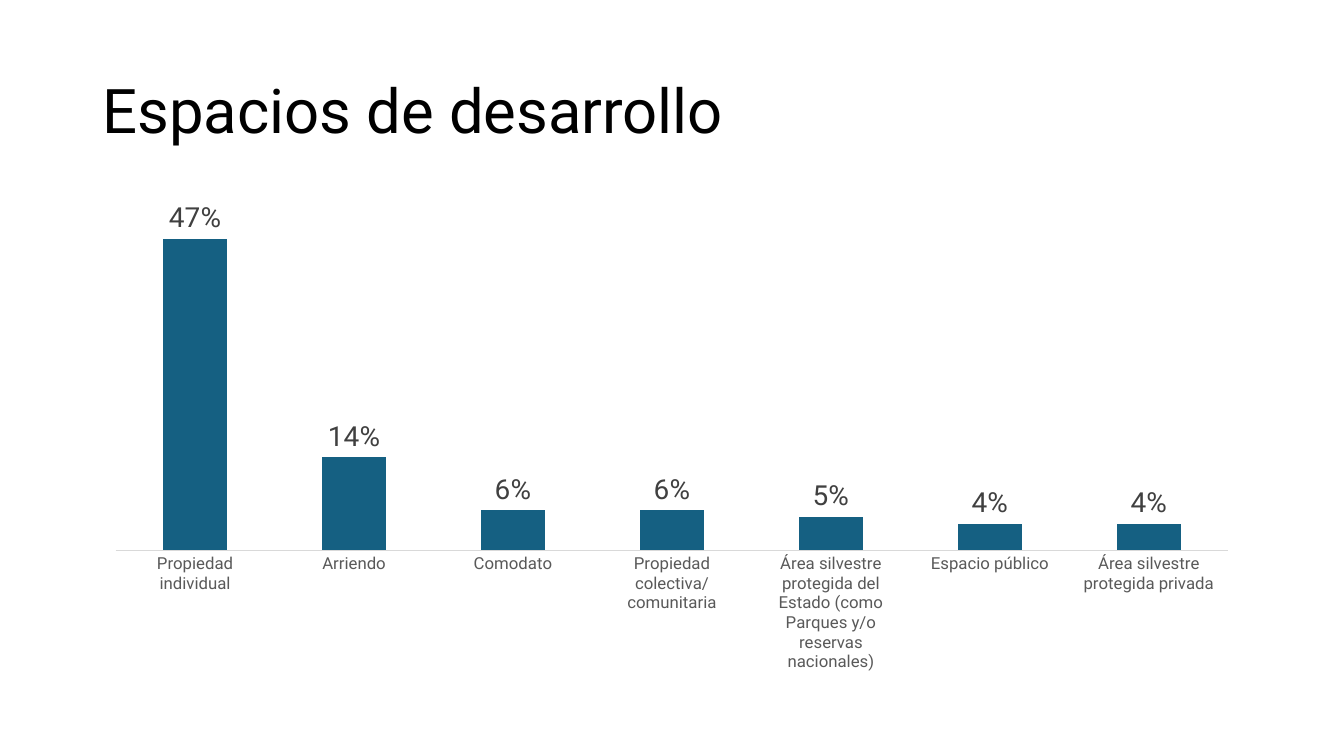
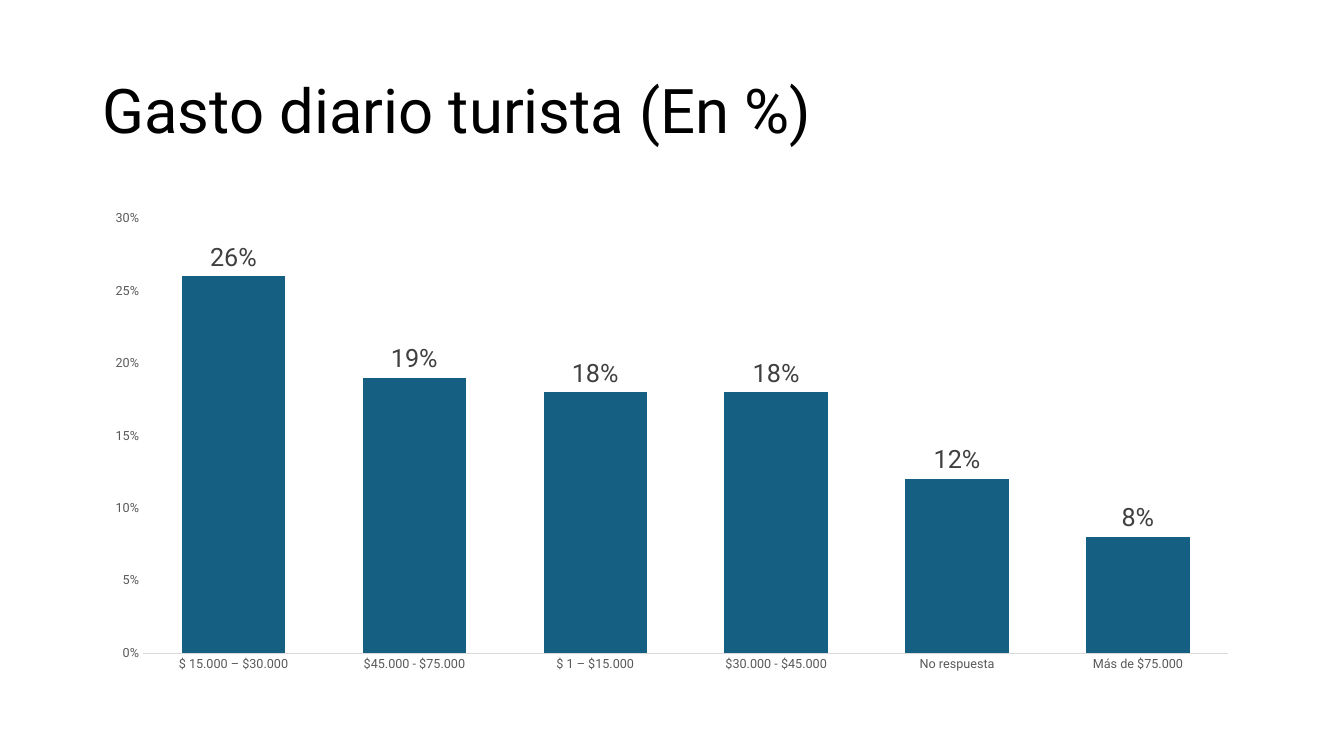
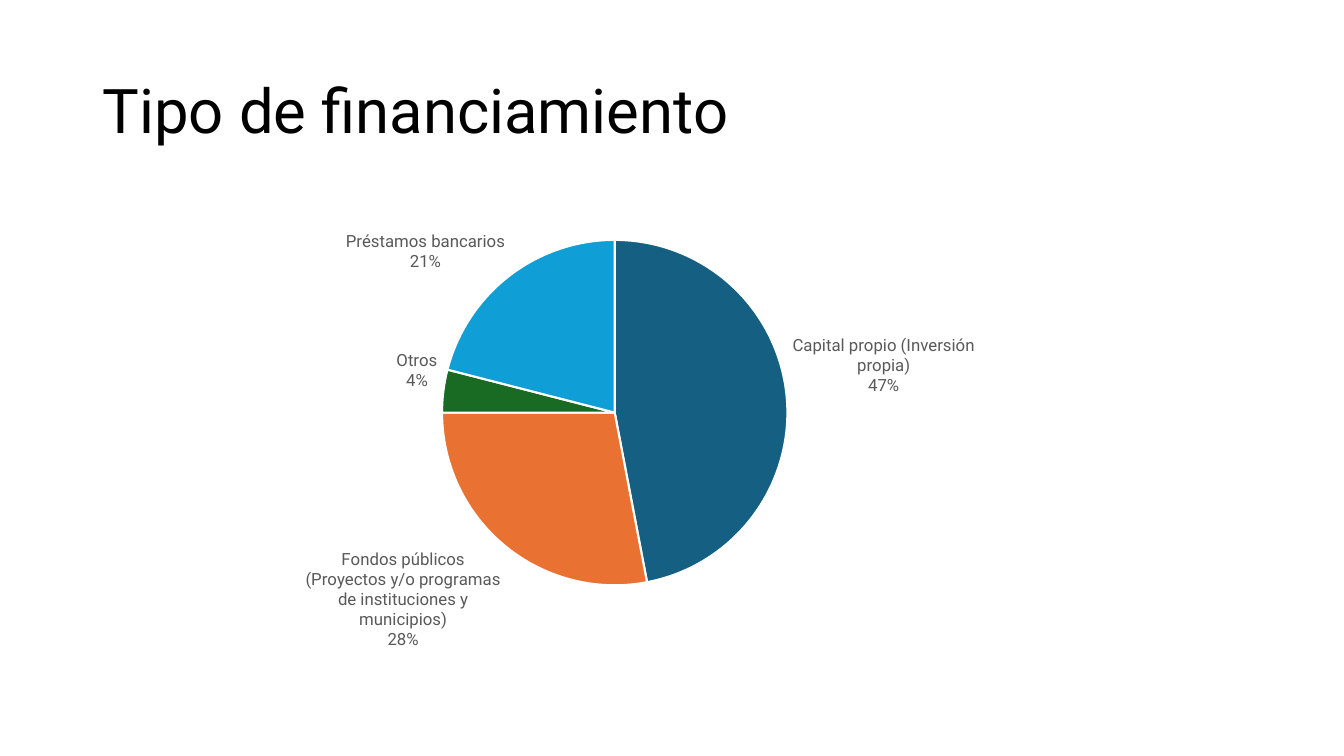
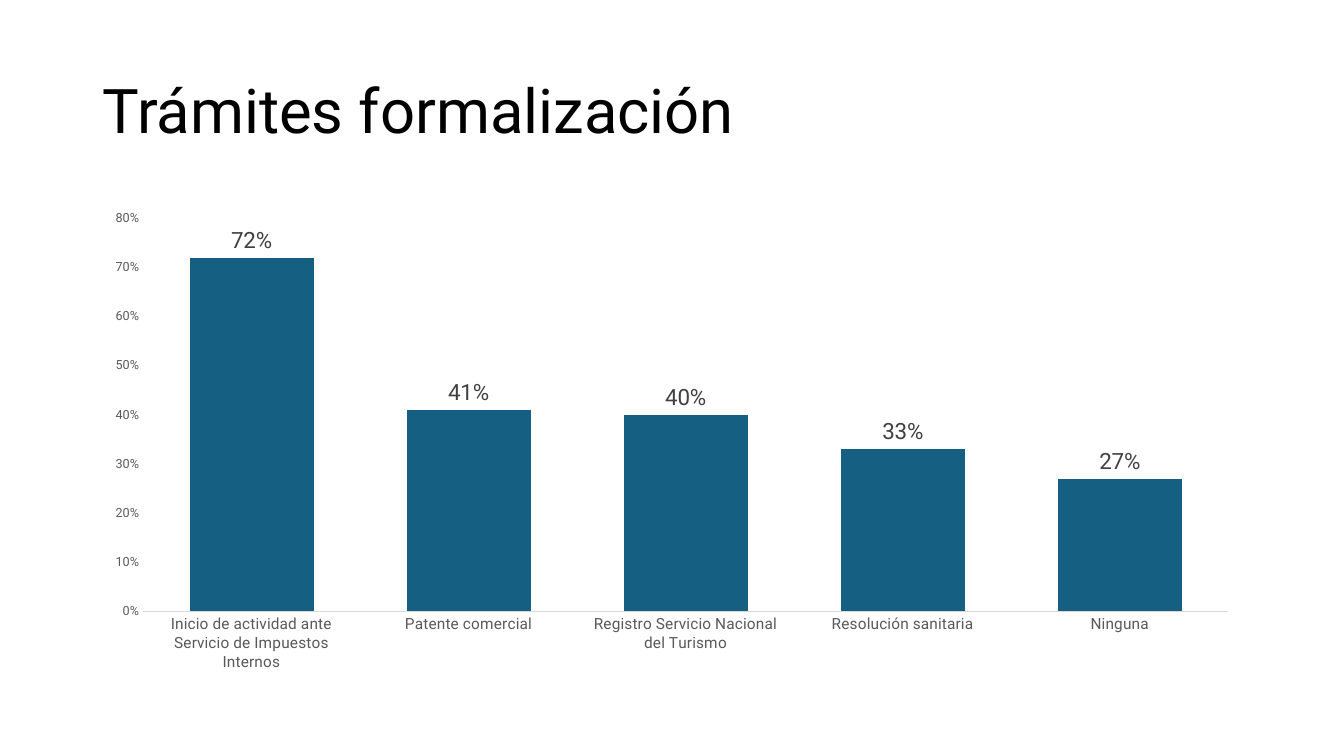
"""Build four chart slides on tourism ventures: spaces, spending, funding and paperwork."""
from dataclasses import dataclass

from pptx import Presentation
from pptx.chart.data import CategoryChartData
from pptx.dml.color import RGBColor
from pptx.enum.chart import XL_CHART_TYPE, XL_LABEL_POSITION, XL_TICK_MARK
from pptx.enum.text import MSO_ANCHOR, MSO_AUTO_SIZE, PP_ALIGN
from pptx.oxml import parse_xml
from pptx.oxml.ns import nsdecls
from pptx.util import Cm, Pt


@dataclass(frozen=True)
class Theme:
    font: str = "Roboto"
    black: str = "000000"
    white: str = "FFFFFF"
    label: str = "404040"
    axis: str = "595959"
    rule: str = "D9D9D9"
    accents: tuple = ("156082", "E97132", "196B24", "0F9ED5")
    title_size: int = 44
    chart_size: int = 10
    pie_label_size: int = 12
    tick_size: int = 9


T = Theme()
LEFT, WIDTH = Cm(2.33), Cm(29.21)

COLUMN_SLIDES = {
    "Espacios de desarrollo": dict(
        values={
            "Propiedad individual": 0.47,
            "Arriendo": 0.14,
            "Comodato": 0.06,
            "Propiedad colectiva/comunitaria": 0.06,
            "Área silvestre protegida del Estado (como Parques y/o reservas nacionales)": 0.05,
            "Espacio público": 0.04,
            "Área silvestre protegida privada": 0.04,
        },
        gap=150, overlap=-25, top=0.5, step=0.1, scale=False, cat_size=12, label_size=20),
    "Gasto diario turista (En %)": dict(
        values={
            "$ 15.000 – $30.000": 0.26,
            "$45.000 - $75.000": 0.19,
            "$ 1 – $15.000": 0.18,
            "$30.000 - $45.000": 0.18,
            "No respuesta": 0.12,
            "Más de $75.000": 0.08,
        },
        gap=75, overlap=0, top=0.3, step=0.05, scale=True, cat_size=9, label_size=18),
    "Tipo de financiamiento": dict(
        values={
            "Capital propio (Inversión propia)": 47,
            "Fondos públicos (Proyectos y/o programas de instituciones y municipios)": 28,
            "Otros": 4,
            "Préstamos bancarios": 21,
        }),
    "Trámites formalización": dict(
        values={
            "Inicio de actividad ante Servicio de Impuestos Internos": 0.72,
            "Patente comercial": 0.41,
            "Registro Servicio Nacional del Turismo": 0.4,
            "Resolución sanitaria": 0.33,
            "Ninguna": 0.27,
        },
        gap=75, overlap=0, top=0.8, step=0.1, scale=True, cat_size=11, label_size=16),
}
CHART_SLIDES = COLUMN_SLIDES
PIE_TITLE = "Tipo de financiamiento"


def set_font(font, size, color):
    font.name = T.font
    font.size = Pt(size)
    font.bold = False
    font.color.rgb = RGBColor.from_string(color)


def set_fill(fmt, color):
    fmt.fill.solid()
    fmt.fill.fore_color.rgb = RGBColor.from_string(color)


prs = Presentation()
prs.slide_width, prs.slide_height = Cm(33.87), Cm(19.05)

for title, d in CHART_SLIDES.items():
    is_pie = title == PIE_TITLE
    s = prs.slides.add_slide(prs.slide_layouts[5])

    sp = s.shapes.title
    sp.left, sp.top, sp.width, sp.height = LEFT, Cm(1.01), WIDTH, Cm(3.68)
    tf = sp.text_frame
    tf.word_wrap = True
    tf.auto_size = MSO_AUTO_SIZE.NONE
    tf.vertical_anchor = MSO_ANCHOR.MIDDLE
    p = tf.paragraphs[0]
    p.alignment = PP_ALIGN.LEFT
    p.line_spacing = 0.9
    r = p.add_run()
    r.text = title
    set_font(r.font, T.title_size, T.black)

    data = CategoryChartData(number_format="General" if is_pie else "0%")
    data.categories = d["values"].keys()
    data.add_series("Series 1", d["values"].values())
    kind = XL_CHART_TYPE.PIE if is_pie else XL_CHART_TYPE.COLUMN_CLUSTERED
    width = Cm(25.81) if is_pie else WIDTH
    chart = s.shapes.add_chart(kind, LEFT, Cm(5.08), width, Cm(12.09), data).chart
    chart.has_title = False
    chart.has_legend = False
    set_font(chart.font, T.chart_size, T.black)

    plot = chart.plots[0]
    plot.vary_by_categories = is_pie
    series = plot.series[0]
    plot.has_data_labels = True
    labels = plot.data_labels
    labels.number_format = "0%"
    labels.number_format_is_linked = False
    labels.position = XL_LABEL_POSITION.OUTSIDE_END

    if is_pie:
        labels.show_value = False
        labels.show_category_name = True
        labels.show_percentage = True
        set_font(labels.font, T.pie_label_size, T.axis)
        for i, color in enumerate(T.accents):
            fmt = series.points[i].format
            set_fill(fmt, color)
            fmt.line.width = Pt(1.5)
            fmt.line.color.rgb = RGBColor.from_string(T.white)
        area = chart._chartSpace.chart.plotArea
        for old in area.findall("{*}layout"):
            area.remove(old)
        area.insert(0, parse_xml(
            f'<c:layout {nsdecls("c")}><c:manualLayout><c:layoutTarget val="inner"/>'
            '<c:xMode val="edge"/><c:yMode val="edge"/><c:x val="0.34"/><c:y val="0.08"/>'
            '<c:w val="0.34"/><c:h val="0.72"/></c:manualLayout></c:layout>'))
        continue

    labels.show_value = True
    set_font(labels.font, d["label_size"], T.label)
    plot.gap_width, plot.overlap = d["gap"], d["overlap"]
    set_fill(series.format, T.accents[0])

    cat, val = chart.category_axis, chart.value_axis
    for axis, size in ((cat, d["cat_size"]), (val, T.tick_size)):
        axis.major_tick_mark = axis.minor_tick_mark = XL_TICK_MARK.NONE
        axis.has_major_gridlines = False
        set_font(axis.tick_labels.font, size, T.axis)
    cat.format.line.width = Pt(0.75)
    cat.format.line.color.rgb = RGBColor.from_string(T.rule)
    val.format.line.fill.background()
    val.minimum_scale, val.maximum_scale, val.major_unit = 0, d["top"], d["step"]
    val.tick_labels.number_format = "0%"
    val.tick_labels.number_format_is_linked = False
    val.visible = d["scale"]

prs.save("out.pptx")
